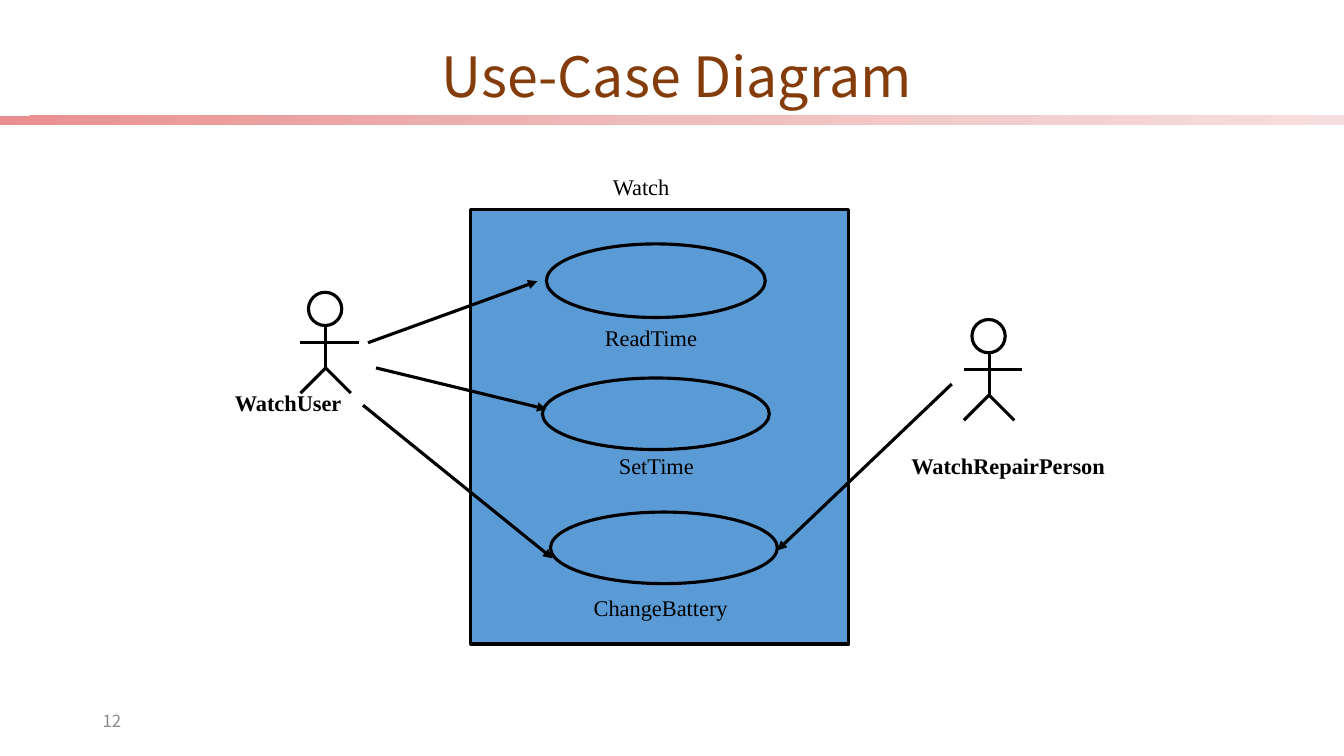
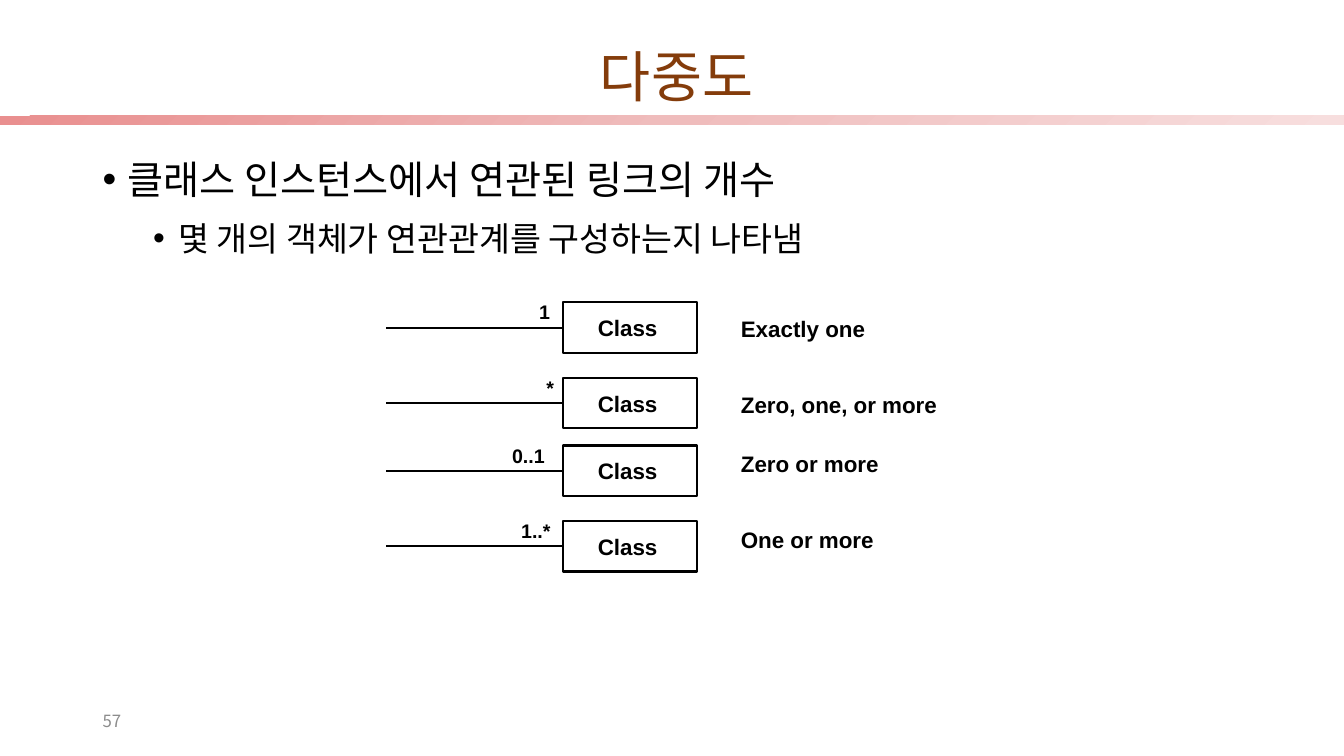
from lxml.etree import SubElement
from pptx import Presentation
from pptx.dml.color import RGBColor
from pptx.enum.shapes import MSO_CONNECTOR, MSO_SHAPE
from pptx.enum.text import MSO_ANCHOR, MSO_AUTO_SIZE, PP_ALIGN
from pptx.oxml.ns import qn
from pptx.util import Pt
from copy import deepcopy

PX = 9144  # 100 px to the inch
WIDE, HIGH = 1333, 750

BLACK = RGBColor(0x00, 0x00, 0x00)
BROWN = RGBColor(0x84, 0x3C, 0x0B)
GRAY = RGBColor(0x8C, 0x8C, 0x8C)
BLUE = RGBColor(0x5B, 0x9B, 0xD5)
BAND = [
    (0, RGBColor(0xE9, 0x8F, 0x8F)),
    (0.5, RGBColor(0xEF, 0xBC, 0xBC)),
    (1, RGBColor(0xF7, 0xDE, 0xDE)),
]

NOTO = "Noto Sans CJK KR"
TITLE = {"name": NOTO, "size": Pt(39.6), "bold": False}
NUMBER = {"name": NOTO, "size": Pt(12)}
LABEL = {"name": "Times New Roman", "size": Pt(16)}
ACTOR = {**LABEL, "bold": True}
CLASS = {"name": "Arial", "size": Pt(16), "bold": True}
COUNT = {**CLASS, "size": Pt(14)}

# Use-case slide
SYSTEM = (467, 208, 375, 431)
CASES = [(542, 242, 217, 73), (538, 375, 225, 71), (546, 508, 225, 71)]
ACTORS = [(323, 290), (981, 317)]  # top of the head
LIMBS = [(-25, 50, 33, 50), (0, 33, 0, 75), (0, 75, -25, 100), (0, 75, 25, 100)]
HEAD = 33
NAMES = [
    ("Watch", 598, 167, 78, LABEL),
    ("ReadTime", 590, 317, 113, LABEL),
    ("SetTime", 604, 444, 96, LABEL),
    ("ChangeBattery", 579, 585, 154, LABEL),
    ("WatchUser", 223, 381, 128, ACTOR),
    ("WatchRepairPerson", 894, 444, 214, ACTOR),
]
ARROWS = [
    (365, 340, 533, 279),
    (373, 365, 542, 406),
    (360, 402, 548, 554),
    (944, 381, 771, 546),
]

# Multiplicity slide
POINTS = [
    # text, size, left margin, space before
    ("클래스 인스턴스에서 연관된 링크의 개수", 28, 25, 0),
    ("몇 개의 객체가 연관관계를 구성하는지 나타냄", 24, 75, 5),
]
HANG = 25
ROWS = [
    # top, count, count left, count width, meaning, meaning offset, meaning width
    (300, "1", 525, 34, "Exactly one", 8, 174),
    (375, "*", 532, 30, "Zero, one, or more", 8, 255),
    (442, "0..1", 498, 58, "Zero or more", 0, 188),
    (517, "1..*", 507, 55, "One or more", 0, 177),
]
LINK, BOX, MEAN = 383, 558, 725
BOX_W, BOX_H = 133, 50


def px(*vals):
    return [v * PX for v in vals]


def style(run, form, color=BLACK):
    for key, val in form.items():
        setattr(run.font, key, val)
    run.font.color.rgb = color
    SubElement(run.font._element, qn("a:ea"), typeface=form["name"])


def write(par, text, form, color=BLACK):
    run = par.add_run()
    run.text = text
    style(run, form, color)


def label(slide, text, x, y, w, form):
    """Add a one-line text box that fits its text."""
    box = slide.shapes.add_textbox(*px(x, y, w, 37))
    frame = box.text_frame
    frame.word_wrap = False
    frame.auto_size = MSO_AUTO_SIZE.SHAPE_TO_FIT_TEXT
    write(frame.paragraphs[0], text, form)


def shape(shapes, kind, area, width, fill=None):
    item = shapes.add_shape(kind, *px(*area))
    item.shadow.inherit = False
    if fill is None:
        item.fill.background()
    else:
        item.fill.solid()
        item.fill.fore_color.rgb = fill
    item.line.color.rgb = BLACK
    item.line.width = Pt(width)
    return item


def line(shapes, ends, width, arrow=False):
    item = shapes.add_connector(MSO_CONNECTOR.STRAIGHT, *px(*ends))
    item.line.color.rgb = BLACK
    item.line.width = Pt(width)
    if arrow:
        SubElement(item.line._get_or_add_ln(), qn("a:tailEnd"), type="triangle")
    SubElement(item._element.spPr, qn("a:effectLst"))
    return item


def band(slide):
    bar = slide.shapes.add_shape(MSO_SHAPE.RECTANGLE, *px(0, 115, WIDE, 9))
    bar.shadow.inherit = False
    bar.line.fill.background()
    bar.fill.gradient()
    bar.fill.gradient_angle = 315
    first = bar.fill._xPr.find(".//" + qn("a:gs"))
    first.addnext(deepcopy(first))
    for stop, (pos, color) in zip(bar.fill.gradient_stops, BAND):
        stop.position = pos
        stop.color.rgb = color


def start(deck, text, number):
    """Add a slide with its title, band and number."""
    slide = deck.slides.add_slide(deck.slide_layouts[5])
    band(slide)
    title = slide.shapes.title
    title.left, title.top, title.width, title.height = px(60, 48, 1222, 61)
    frame = title.text_frame
    frame.auto_size = MSO_AUTO_SIZE.NONE
    frame.vertical_anchor = MSO_ANCHOR.MIDDLE
    par = frame.paragraphs[0]
    par.alignment = PP_ALIGN.CENTER
    par.line_spacing = 0.9
    write(par, text, TITLE, BROWN)

    foot = slide.shapes.add_textbox(*px(92, 695, 300, 40)).text_frame
    foot.word_wrap = True
    foot.vertical_anchor = MSO_ANCHOR.MIDDLE
    write(foot.paragraphs[0], number, NUMBER, GRAY)
    return slide


def actor(slide, x, y):
    """Draw a stick figure as one group."""
    parts = slide.shapes.add_group_shape().shapes
    for x1, y1, x2, y2 in LIMBS:
        line(parts, (x + x1, y + y1, x + x2, y + y2), 2.25)
    shape(parts, MSO_SHAPE.OVAL, (x - HEAD // 2 - 1, y, HEAD, HEAD), 2.25)


def use_case(deck):
    slide = start(deck, "Use-Case Diagram", "12")
    shape(slide.shapes, MSO_SHAPE.RECTANGLE, SYSTEM, 2.25, BLUE)
    for area in CASES:
        shape(slide.shapes, MSO_SHAPE.OVAL, area, 2.25)
    for spot in ACTORS:
        actor(slide, *spot)
    for ends in ARROWS:
        line(slide.shapes, ends, 2.25, arrow=True)
    for name in NAMES:
        label(slide, *name)


def bullets(slide):
    frame = slide.shapes.add_textbox(*px(92, 140, 1150, 536)).text_frame
    frame.word_wrap = True
    for i, (text, size, left, before) in enumerate(POINTS):
        par = frame.add_paragraph() if i else frame.paragraphs[0]
        props = par._p.get_or_add_pPr()
        props.set("marL", str(left * PX))
        props.set("indent", str(-HANG * PX))
        SubElement(props, qn("a:buFont"), typeface="Arial")
        SubElement(props, qn("a:buChar"), char="•")
        par.level = i
        par.line_spacing = 1.2
        if before:
            par.space_before = Pt(before)
        write(par, text, {"name": NOTO, "size": Pt(size)})


def multiplicity(deck):
    slide = start(deck, "다중도", "57")
    bullets(slide)
    for top, count, x, w, mean, drop, span in ROWS:
        box = shape(slide.shapes, MSO_SHAPE.RECTANGLE, (BOX, top, BOX_W, BOX_H), 1.5)
        frame = box.text_frame
        frame.margin_left = 35 * PX
        frame.vertical_anchor = MSO_ANCHOR.MIDDLE
        frame.paragraphs[0].alignment = PP_ALIGN.LEFT
        write(frame.paragraphs[0], "Class", CLASS)
        mid = top + BOX_H // 2
        line(slide.shapes, (LINK, mid, BOX, mid), 1.5).end_connect(box, 1)
        label(slide, count, x, top - 7, w, COUNT)
        label(slide, mean, MEAN, top + drop, span, CLASS)


def main():
    deck = Presentation()
    deck.slide_width, deck.slide_height = px(WIDE, HIGH)
    use_case(deck)
    multiplicity(deck)
    deck.save("out.pptx")


if __name__ == "__main__":
    main()
